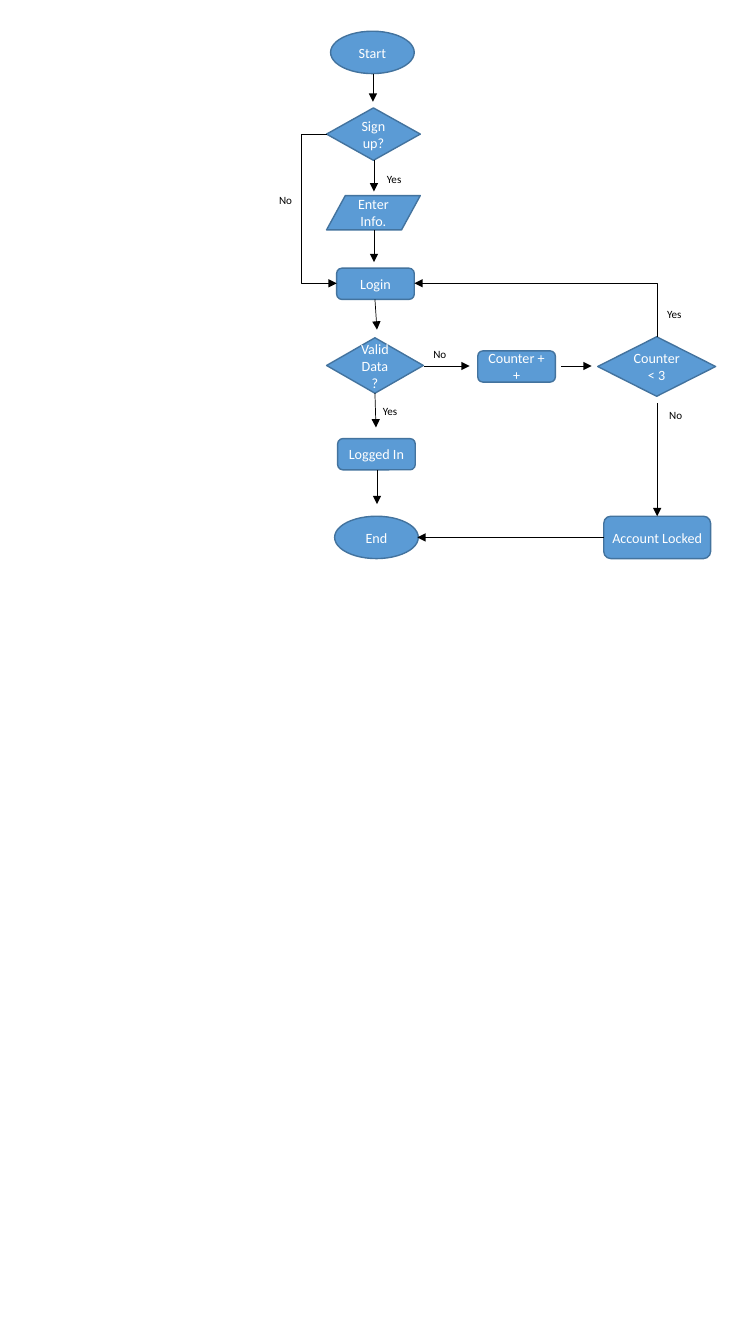
from dataclasses import dataclass

from lxml.etree import SubElement
from pptx import Presentation
from pptx.dml.color import RGBColor
from pptx.enum.shapes import MSO_CONNECTOR, MSO_SHAPE
from pptx.enum.text import MSO_ANCHOR, PP_ALIGN
from pptx.oxml.ns import qn
from pptx.util import Inches, Pt


@dataclass(frozen=True)
class Theme:
    font: str = "Calibri"
    fill: RGBColor = RGBColor(0x5B, 0x9B, 0xD5)
    edge: RGBColor = RGBColor(0x43, 0x73, 0x9E)
    ink: RGBColor = RGBColor(0, 0, 0)
    light: RGBColor = RGBColor(255, 255, 255)
    body: float = 10.1
    small: float = 7.9
    border: float = 1
    wire: float = 0.5


THEME = Theme()

OVAL = MSO_SHAPE.OVAL
CHOICE = MSO_SHAPE.FLOWCHART_DECISION
ENTRY = MSO_SHAPE.FLOWCHART_DATA
STEP = MSO_SHAPE.FLOWCHART_ALTERNATE_PROCESS

NODES = [
    ("Start", OVAL, 3.28, 0.31, 0.83, 0.42),
    ("Sign up?", CHOICE, 3.24, 1.07, 0.93, 0.52),
    ("Enter Info.", ENTRY, 3.24, 1.94, 0.93, 0.34),
    ("Login", STEP, 3.34, 2.66, 0.77, 0.31),
    ("Valid Data ?", CHOICE, 3.24, 3.35, 0.96, 0.55),
    ("Logged In", STEP, 3.35, 4.35, 0.77, 0.31),
    ("End", OVAL, 3.32, 5.12, 0.83, 0.42),
    ("Counter ++", STEP, 4.74, 3.48, 0.77, 0.31),
    ("Counter < 3", CHOICE, 5.93, 3.34, 1.17, 0.59),
    ("Account Locked", STEP, 5.99, 5.12, 1.06, 0.42),
]

ARROWS = [
    (3.7, 0.73, 3.7, 1.01),
    (3.71, 1.59, 3.71, 1.9),
    (3.71, 2.28, 3.71, 2.6),
    (3.72, 2.97, 3.74, 3.27),
    (3.72, 3.9, 3.73, 4.24),
    (3.74, 4.66, 3.74, 5),
    (4.21, 3.63, 4.66, 3.63),
    (5.57, 3.63, 5.87, 3.63),
    (6.52, 4, 6.52, 5.12),
    (5.99, 5.33, 4.14, 5.33),
]

LABELS = [
    ("No", 2.67, 1.87),
    ("Yes", 3.74, 1.66),
    ("No", 4.2, 3.4),
    ("Yes", 3.7, 3.96),
    ("Yes", 6.52, 3),
    ("No", 6.54, 4),
]


def write(frame, text, size, color, align):
    frame.word_wrap = True
    frame.text = text
    line = frame.paragraphs[0]
    line.alignment = align
    font = line.runs[0].font
    font.name = THEME.font
    font.size = Pt(size)
    font.color.rgb = color


def add_node(slide, text, kind, left, top, width, height):
    node = slide.shapes.add_shape(
        kind, Inches(left), Inches(top), Inches(width), Inches(height))
    node.shadow.inherit = False
    node.fill.solid()
    node.fill.fore_color.rgb = THEME.fill
    node.line.color.rgb = THEME.edge
    node.line.width = Pt(THEME.border)
    frame = node.text_frame
    frame.margin_left = frame.margin_right = Inches(0.06)
    frame.margin_top = frame.margin_bottom = Inches(0.03)
    frame.vertical_anchor = MSO_ANCHOR.MIDDLE
    write(frame, text, THEME.body, THEME.light, PP_ALIGN.CENTER)


def add_label(slide, text, left, top):
    width = 0.37 if text == "Yes" else 0.35
    box = slide.shapes.add_textbox(
        Inches(left), Inches(top), Inches(width), Inches(0.23))
    write(box.text_frame, text, THEME.small, THEME.ink, PP_ALIGN.LEFT)


def add_arrow(slide, x1, y1, x2, y2, kind=MSO_CONNECTOR.STRAIGHT):
    arrow = slide.shapes.add_connector(
        kind, Inches(x1), Inches(y1), Inches(x2), Inches(y2))
    arrow.line.color.rgb = THEME.ink
    arrow.line.width = Pt(THEME.wire)
    props = arrow._element.spPr
    SubElement(props.find(qn("a:ln")), qn("a:tailEnd"), type="triangle")
    SubElement(props, qn("a:effectLst"))
    return arrow


def add_detour(slide, x1, y1, x2, y2, bend):
    arrow = add_arrow(slide, x1, y1, x2, y2, MSO_CONNECTOR.ELBOW)
    guides = arrow._element.spPr.prstGeom.get_or_add_avLst()
    ratio = round((bend - x1) / (x2 - x1) * 100000)
    SubElement(guides, qn("a:gd"), name="adj1", fmla=f"val {ratio}")


def add_return(slide, x1, y1, x2, y2):
    mid_x, mid_y = (x1 + x2) / 2, (y1 + y2) / 2
    rise, run = (y1 - y2) / 2, (x1 - x2) / 2
    arrow = add_arrow(slide, mid_x - rise, mid_y + run,
                      mid_x + rise, mid_y - run, MSO_CONNECTOR.ELBOW)
    props = arrow._element.spPr
    props.prstGeom.set("prst", "bentConnector2")
    props.find(qn("a:xfrm")).set("rot", str(270 * 60000))


def main():
    deck = Presentation()
    deck.slide_width = Inches(7.5)
    deck.slide_height = Inches(13.33)
    slide = deck.slides.add_slide(deck.slide_layouts[6])
    for node in NODES:
        add_node(slide, *node)
    for arrow in ARROWS:
        add_arrow(slide, *arrow)
    add_detour(slide, 3.24, 1.33, 3.34, 2.81, bend=2.99)
    add_return(slide, 6.52, 3.34, 4.11, 2.81)
    for label in LABELS:
        add_label(slide, *label)
    deck.save("out.pptx")


if __name__ == "__main__":
    main()
